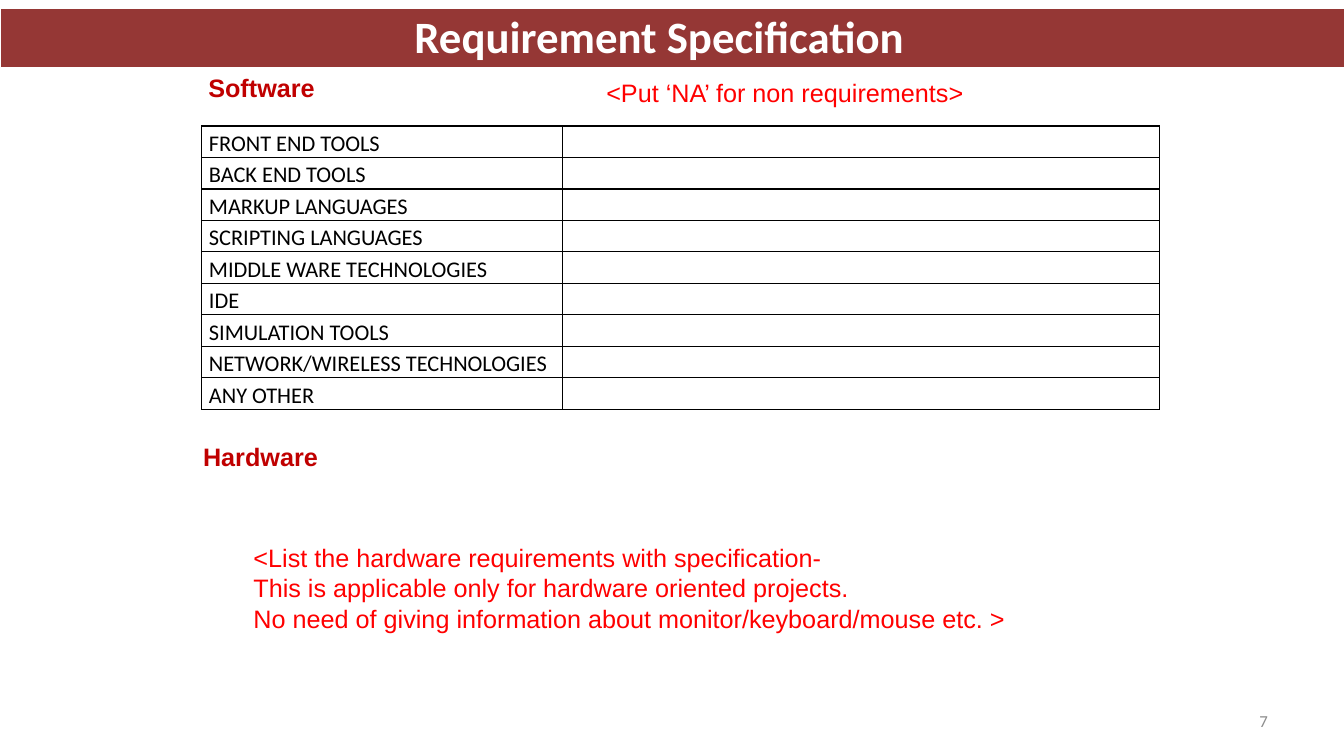
from lxml import etree
from pptx import Presentation
from pptx import util as u
from pptx.dml.color import RGBColor
from pptx.enum import shapes, text
from pptx.oxml.ns import qn

PX = 9525  # EMU in one px, 96 px to the inch
ALIGN = text.PP_ALIGN
RED, DARK_RED = "FF0000", "C00000"


def color(value):
    return RGBColor.from_string(value)


def write(frame, lines, size, font, ink, bold=False, align=ALIGN.LEFT, spacing=None):
    """Put one run per line into the frame, each line a paragraph."""
    for index, line in enumerate(lines):
        para = frame.add_paragraph() if index else frame.paragraphs[0]
        para.alignment = align
        para.line_spacing = spacing
        span = para.add_run()
        span.text = line
        span.font.size = u.Pt(size)
        span.font.name = font
        span.font.bold = bold
        span.font.color.rgb = color(ink)


deck = Presentation()
deck.slide_width, deck.slide_height = 1280 * PX, 720 * PX
page = deck.slides.add_slide(deck.slide_layouts[6])

# Title band
band = page.shapes.add_shape(shapes.MSO_SHAPE.RECTANGLE, 0, 8 * PX, 1280 * PX, 56 * PX)
band.shadow.inherit = False
band.fill.solid()
band.fill.fore_color.rgb = color("953735")
band.line.color.rgb = color("FFFFFF")
band.line.width = u.Pt(0.25)

# Title and page number, centred vertically in their boxes
for place, line, size, ink, bold, align in [
    ((208, 0, 840, 67), "Requirement Specification", 32, "FFFFFF", True, ALIGN.CENTER),
    ((918, 667, 299, 38), "7", 12, "8C8C8C", False, ALIGN.RIGHT),
]:
    box = page.shapes.add_textbox(*(n * PX for n in place))
    box.text_frame.word_wrap = True
    box.text_frame.vertical_anchor = text.MSO_ANCHOR.MIDDLE
    write(box.text_frame, [line], size, "Calibri", ink, bold, align)

# Software requirements table
tools = [
    "FRONT END TOOLS",
    "BACK END TOOLS",
    "MARKUP LANGUAGES",
    "SCRIPTING LANGUAGES",
    "MIDDLE WARE TECHNOLOGIES",
    "IDE",
    "SIMULATION TOOLS",
    "NETWORK/WIRELESS TECHNOLOGIES",
    "ANY OTHER",
]
ROW = 30
table = page.shapes.add_table(
    len(tools), 2, 192 * PX, 120 * PX, 912 * PX, ROW * len(tools) * PX
).table
table.first_row = table.horz_banding = False
for column, width in zip(table.columns, (344, 568)):
    column.width = width * PX
for row, tool in zip(table.rows, tools):
    row.height = ROW * PX
    for cell in row.cells:
        cell.margin_left = cell.margin_right = 7 * PX
        cell.margin_top = cell.margin_bottom = 0
        props = cell._tc.get_or_add_tcPr()
        for side in ("a:lnL", "a:lnR", "a:lnT", "a:lnB"):
            border = etree.SubElement(props, qn(side), w=str(u.Pt(1)))
            fill = etree.SubElement(border, qn("a:solidFill"))
            etree.SubElement(fill, qn("a:srgbClr"), val="000000")
        cell.fill.background()
    write(row.cells[0].text_frame, [tool], 16, "Calibri", "000000",
          align=ALIGN.JUSTIFY, spacing=1.15)

# Headings and instructions
for place, lines, ink, bold in [
    ((568, 69, 363, 38), ["<Put ‘NA’ for non requirements>"], RED, False),
    ((189, 64, 122, 38), ["Software"], DARK_RED, True),
    ((184, 416, 130, 38), ["Hardware"], DARK_RED, True),
    ((232, 512, 742, 97), [
        "<List the hardware requirements with specification-",
        "This is applicable only for hardware oriented projects.",
        "No need of giving information about monitor/keyboard/mouse etc. >",
    ], RED, False),
]:
    box = page.shapes.add_textbox(*(n * PX for n in place))
    box.text_frame.word_wrap = False
    box.text_frame.auto_size = text.MSO_AUTO_SIZE.SHAPE_TO_FIT_TEXT
    write(box.text_frame, lines, 18, "Arial", ink, bold)

deck.save("out.pptx")
